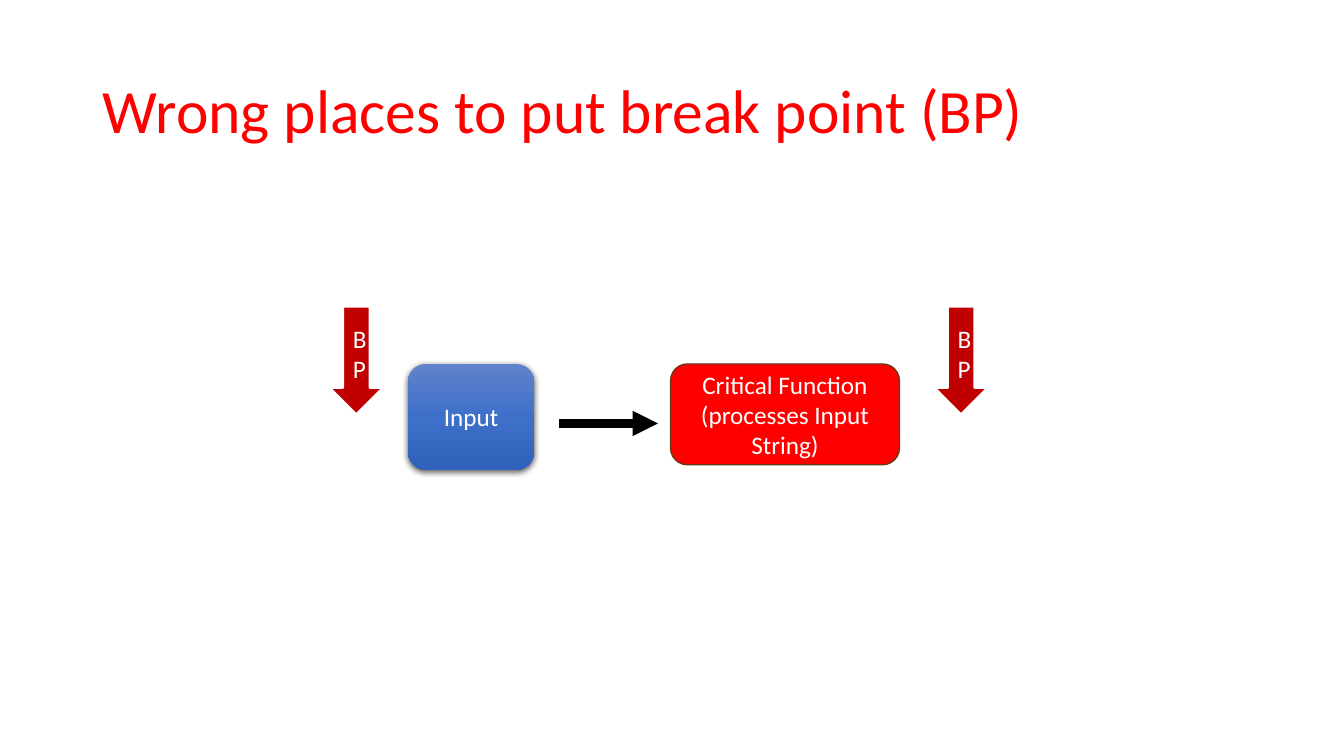
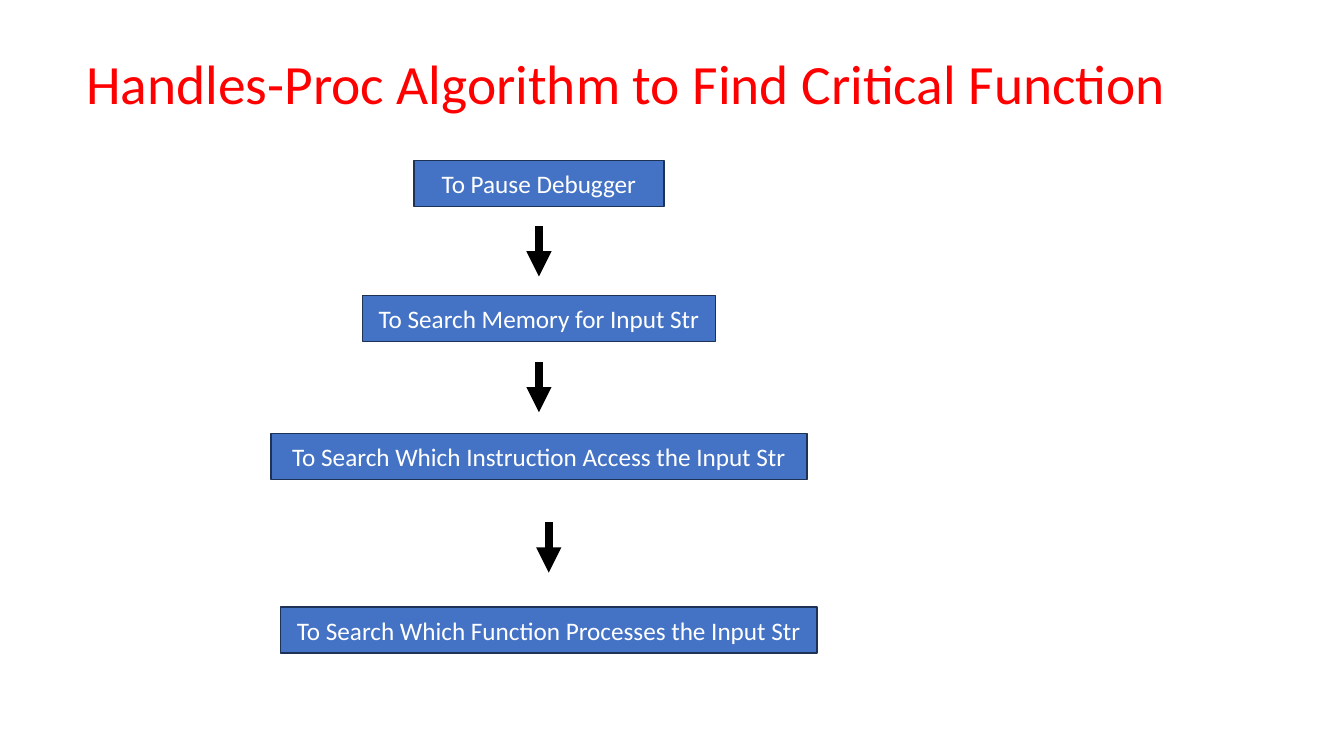
import copy

import lxml.etree
import pptx
import pptx.dml.color
import pptx.enum.shapes
import pptx.enum.text
import pptx.oxml.ns
import pptx.util

Pt = pptx.util.Pt
qn = pptx.oxml.ns.qn
Shape = pptx.enum.shapes.MSO_SHAPE
Text = pptx.enum.text

FONT = "Calibri"
HUES = {
    "red": "FF0000", "white": "FFFFFF", "black": "000000",
    "blue": "4472C4", "navy": "1E3256", "brown": "683715",
    "dark": "C00000", "top": "6183CB", "mid": "3E70CA", "low": "3062BB",
}


def rgb(name):
    return pptx.dml.color.RGBColor.from_string(HUES[name])


def node(parent, tag, **attrs):
    return lxml.etree.SubElement(parent, qn(tag), attrs)


class Deck:
    def __init__(self):
        self.prs = pptx.Presentation()
        self.prs.slide_width, self.prs.slide_height = Pt(960), Pt(540)

    def page(self, title, left, top, width, height, size):
        self.slide = self.prs.slides.add_slide(self.prs.slide_layouts[5])
        head = self.slide.shapes.title
        head.left, head.top = Pt(left), Pt(top)
        head.width, head.height = Pt(width), Pt(height)
        frame = head.text_frame
        frame.text = title
        frame.auto_size = Text.MSO_AUTO_SIZE.NONE
        frame.vertical_anchor = Text.MSO_ANCHOR.MIDDLE
        para = frame.paragraphs[0]
        para.line_spacing = 0.9
        self.style(para, size, "red", Text.PP_ALIGN.LEFT)

    def style(self, para, size, hue, align):
        para.alignment = align
        para.font.name, para.font.size = FONT, Pt(size)
        para.font.color.rgb = rgb(hue)

    def box(self, kind, text, left, top, width, height,
            fill="blue", line=None, weight=1):
        shape = self.slide.shapes.add_shape(
            kind, Pt(left), Pt(top), Pt(width), Pt(height))
        shape.shadow.inherit = False
        shape.fill.solid()
        shape.fill.fore_color.rgb = rgb(fill)
        if line:
            shape.line.color.rgb = rgb(line)
            shape.line.width = Pt(weight)
        else:
            shape.line.fill.background()
        shape.text_frame.text = text
        for para in shape.text_frame.paragraphs:
            self.style(para, 18, "white", Text.PP_ALIGN.CENTER)
        return shape

    def shade(self, shape, hues):
        """Fill from top to bottom with three evenly spaced hues."""
        shape.fill.gradient()
        shape.fill.gradient_angle = 270
        stops = shape.element.spPr.find(".//" + qn("a:gsLst"))
        stops.insert(1, copy.deepcopy(stops[0]))
        for i, (stop, hue) in enumerate(zip(shape.fill.gradient_stops, hues)):
            stop.position = i / 2
            stop.color.rgb = rgb(hue)

    def drop(self, shape):
        """Cast a soft shadow downwards."""
        effects = shape.element.spPr.find(qn("a:effectLst"))
        cast = node(effects, "a:outerShdw", blurRad=str(Pt(4.5)),
                    dist=str(Pt(1.5)), dir="5400000", algn="ctr",
                    rotWithShape="0")
        tint = node(cast, "a:srgbClr", val=HUES["black"])
        node(tint, "a:alpha", val="63000")

    def arrow(self, x1, y1, x2, y2):
        link = self.slide.shapes.add_connector(
            pptx.enum.shapes.MSO_CONNECTOR.STRAIGHT,
            Pt(x1), Pt(y1), Pt(x2), Pt(y2))
        link.line.color.rgb = rgb("black")
        link.line.width = Pt(6)
        node(link.line._get_or_add_ln(), "a:tailEnd", type="triangle")
        node(link.element.spPr, "a:effectLst")


def wrong(deck):
    deck.page("Wrong places to put break point (BP)", 66, 29, 828, 104, 44)
    source = deck.box(Shape.ROUNDED_RECTANGLE, "Input", 291.5, 260, 90, 75.5)
    deck.shade(source, ("top", "mid", "low"))
    deck.drop(source)
    deck.box(Shape.ROUNDED_RECTANGLE,
             "Critical Function\n(processes Input String)",
             479, 260, 163.5, 72, "red", "brown")
    deck.arrow(399.5, 302.5, 470, 302.5)
    for left in (235.5, 667.5):
        deck.box(Shape.DOWN_ARROW, "BP", left, 219, 38, 77,
                 "dark", "white", 1.5)


def steps(deck):
    deck.page("Handles-Proc Algorithm to Find Critical Function",
              54.5, 42.5, 803, 39, 39.6)
    # text, centre, top, width, start of the arrow leading to the box
    chain = (
        ("To Pause Debugger", 385, 114.5, 178.5, None),
        ("To Search Memory for Input Str", 385, 211, 252, 161.5),
        ("To Search Which Instruction Access the Input Str",
         385, 309.5, 383, 258.5),
        ("To Search Which Function Processes the Input Str",
         392, 433.5, 383, 373),
    )
    for text, mid, top, width, start in chain:
        deck.box(Shape.RECTANGLE, text, mid - width / 2, top, width, 33,
                 line="navy")
        if start:
            deck.arrow(mid, start, mid, start + 36)


def main():
    deck = Deck()
    wrong(deck)
    steps(deck)
    deck.prs.save("out.pptx")


if __name__ == "__main__":
    main()
